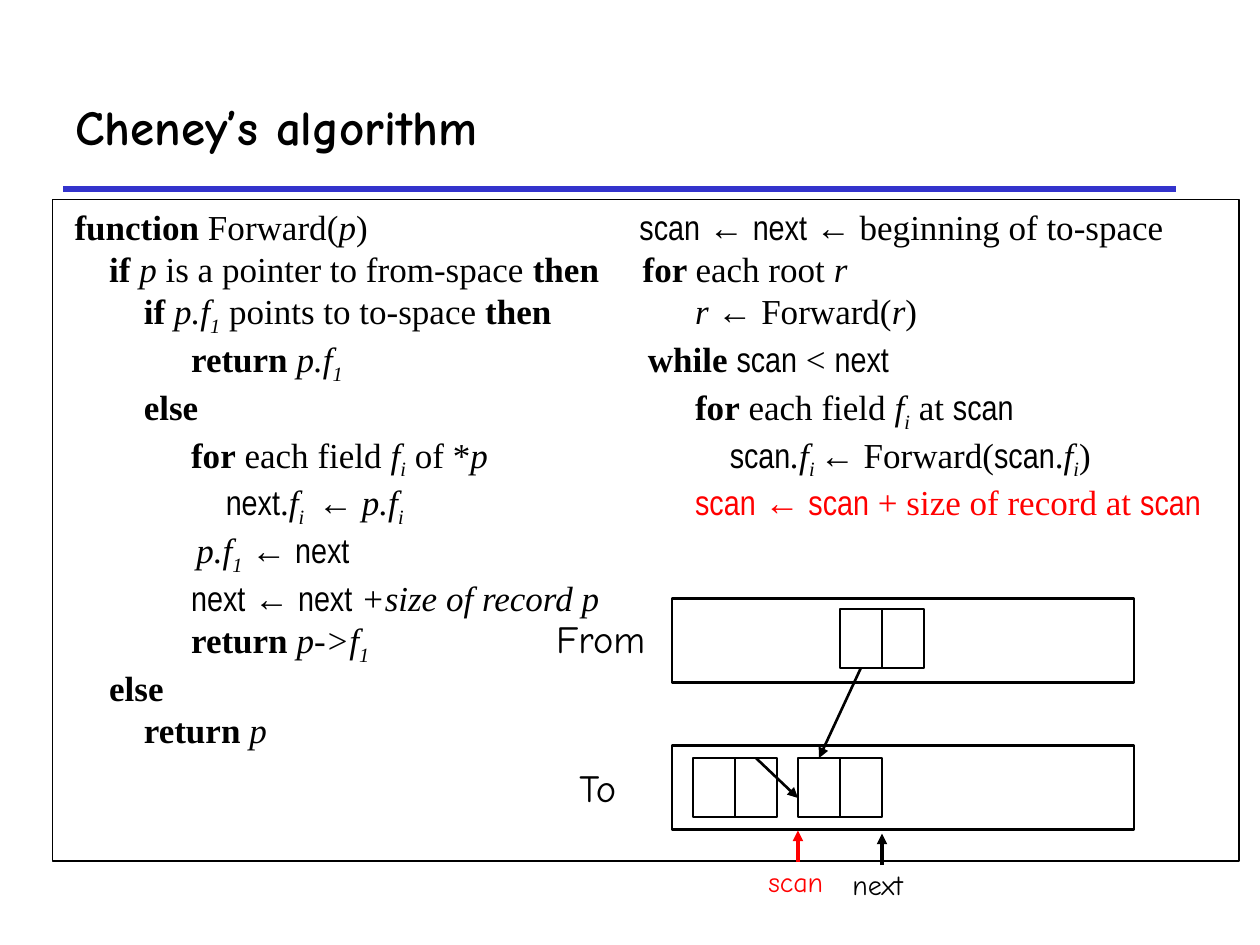
from dataclasses import dataclass
from typing import NamedTuple

from lxml.etree import SubElement
from pptx import Presentation
from pptx.dml.color import RGBColor
from pptx.enum.shapes import MSO_CONNECTOR as Connector, MSO_SHAPE as Preset
from pptx.enum.text import MSO_ANCHOR as Anchor, MSO_AUTO_SIZE as AutoSize, PP_ALIGN as Align
from pptx.oxml.ns import qn
from pptx.util import Emu, Pt

PX = 7620
BLACK, RED, BLUE = "000000", "FF0000", "3333CC"
SERIF, NARROW, COMIC = "Times New Roman", "Arial Narrow", "Comic Neue"
CELL_WIDTH, CELL_HEIGHT = 40, 56
SUBSCRIPT_GAP = 3.3


class Span(NamedTuple):
    text: str
    bold: bool = False
    italic: bool = False
    sub: bool = False
    face: str = SERIF


class Point(NamedTuple):
    x: int
    y: int


@dataclass
class CodeLine:
    indent: int
    spans: list[Span]
    color: str = BLACK
    gap: float = 0


@dataclass
class Label:
    text: str
    left: int
    top: int
    width: int
    height: int
    size: int
    color: str = BLACK


def px(length: int) -> Emu:
    return Emu(length * PX)


def rgb(value: str) -> RGBColor:
    return RGBColor.from_string(value)


def keyword(text: str) -> Span:
    return Span(text, bold=True)


def italic(text: str) -> Span:
    return Span(text, italic=True)


def sub(text: str) -> Span:
    return Span(text, italic=True, sub=True)


def narrow(text: str) -> Span:
    return Span(text, face=NARROW)


def place(shape, left: int, top: int, width: int, height: int) -> None:
    shape.left, shape.top = px(left), px(top)
    shape.width, shape.height = px(width), px(height)


def style_font(font, face: str, size: int, color: str) -> None:
    font.name, font.size = face, Pt(size)
    font.color.rgb = rgb(color)


def add_code(frame, lines: list[CodeLine]) -> None:
    frame.auto_size = AutoSize.NONE
    for number, line in enumerate(lines):
        para = frame.add_paragraph() if number else frame.paragraphs[0]
        props = para._p.get_or_add_pPr()
        props.set("marL", str(px(line.indent)))
        props.set("indent", "0")
        SubElement(props, qn("a:buNone"))
        para.space_before = Pt(line.gap)
        for span in line.spans:
            run = para.add_run()
            run.text = span.text
            style_font(run.font, span.face, 20, line.color)
            run.font.bold, run.font.italic = span.bold, span.italic
            if span.sub:
                run.font._element.set("baseline", "-25000")


def add_box(page, left: int, top: int, width: int, height: int, weight: float):
    box = page.shapes.add_shape(Preset.RECTANGLE, px(left), px(top), px(width), px(height))
    box.shadow.inherit = False
    box.fill.background()
    box.line.color.rgb = rgb(BLACK)
    box.line.width = Pt(weight)
    return box


def add_record(page, left: int, top: int) -> list:
    return [add_box(page, left + k * CELL_WIDTH, top, CELL_WIDTH, CELL_HEIGHT, 1) for k in range(2)]


def add_line(page, start: Point, end: Point, color: str, weight: float, arrow: bool = True):
    line = page.shapes.add_connector(Connector.STRAIGHT, px(start.x), px(start.y), px(end.x), px(end.y))
    line.line.color.rgb = rgb(color)
    line.line.width = Pt(weight)
    if arrow:
        SubElement(line.line._get_or_add_ln(), qn("a:tailEnd"), type="triangle")
    SubElement(line._element.spPr, qn("a:effectLst"))
    return line


def add_label(page, label: Label) -> None:
    box = page.shapes.add_textbox(px(label.left), px(label.top), px(label.width), px(label.height))
    frame = box.text_frame
    frame.word_wrap = False
    frame.auto_size = AutoSize.SHAPE_TO_FIT_TEXT
    frame.text = label.text
    style_font(frame.paragraphs[0].runs[0].font, COMIC, label.size, label.color)


FORWARD = [
    CodeLine(9, [keyword("function"), Span(" Forward("), italic("p"), Span(")")]),
    CodeLine(42, [keyword("if "), italic("p"), Span(" is a pointer to from-space "), keyword("then")]),
    CodeLine(75, [keyword("if "), italic("p.f"), sub("1"), Span(" points to to-space "), keyword("then")]),
    CodeLine(120, [keyword("return "), italic("p.f"), sub("1")]),
    CodeLine(75, [keyword("else")]),
    CodeLine(120, [keyword("for"), Span(" each field "), italic("f"), sub("i"), Span(" of *"), italic("p")],
             gap=SUBSCRIPT_GAP),
    CodeLine(153, [narrow("next"), Span("."), italic("f"), sub("i "), italic(" ← p.f"), sub("i")]),
    CodeLine(125, [italic("p.f"), sub("1"), italic(" ← "), narrow("next")]),
    CodeLine(120, [narrow("next"), italic(" ← "), narrow("next"), italic(" +size of record p")]),
    CodeLine(120, [keyword("return"), italic(" p->f"), sub("1")]),
    CodeLine(42, [keyword("else")]),
    CodeLine(75, [keyword("return"), italic(" p")]),
]

SCAN_LOOP = [
    CodeLine(7, [narrow("scan"), Span(" ← "), narrow("next"), Span(" ← beginning of to-space")]),
    CodeLine(10, [keyword("for "), Span("each root "), italic("r")]),
    CodeLine(60, [italic("r"), Span(" ← Forward("), italic("r"), Span(")")]),
    CodeLine(15, [keyword("while "), narrow("scan"), Span(" < "), narrow("next")], gap=SUBSCRIPT_GAP),
    CodeLine(60, [keyword("for"), Span(" each field "), italic("f"), sub("i"), Span(" at "), narrow("scan")],
             gap=SUBSCRIPT_GAP),
    CodeLine(93, [narrow("scan"), italic(".f"), sub("i "), Span("← Forward("), narrow("scan"), Span("."),
                  italic("f"), sub("i"), Span(")")]),
    CodeLine(60, [narrow("scan"), Span(" ← "), narrow("scan"), Span(" + size of record at "), narrow("scan")], RED),
]

LABELS = [
    Label("From", 518, 580, 113, 56, 22),
    Label("To", 540, 722, 70, 56, 22),
    Label("scan", 720, 817, 79, 44, 16, RED),
    Label("next", 800, 820, 82, 44, 16),
]


def main() -> None:
    deck = Presentation()
    deck.slide_width, deck.slide_height = px(1200), px(900)
    page = deck.slides.add_slide(deck.slide_layouts[3])

    add_line(page, Point(60, 180), Point(1120, 180), BLUE, 3, arrow=False)

    title = page.shapes.title
    place(title, 60, 60, 1060, 120)
    title.text_frame.text = "Cheney’s algorithm"
    title.text_frame.vertical_anchor = Anchor.MIDDLE
    heading = title.text_frame.paragraphs[0]
    heading.alignment = Align.LEFT
    style_font(heading.runs[0].font, COMIC, 28, BLACK)
    heading.runs[0].font.bold = True

    body, loop = page.placeholders[1], page.placeholders[2]
    place(body, 50, 190, 1130, 630)
    body.line.color.rgb = rgb(BLACK)
    body.line.width = Pt(0.75)
    add_code(body.text_frame, FORWARD)
    place(loop, 590, 190, 590, 340)
    add_code(loop.text_frame, SCAN_LOOP)

    for top in (570, 710):
        add_box(page, 640, top, 440, 80, 1.5)
    for label in LABELS:
        add_label(page, label)

    scanned = add_record(page, 660, 722)
    source = add_record(page, 800, 580)
    copied = add_record(page, 760, 722)

    add_line(page, Point(760, 821), Point(760, 791), RED, 2)
    add_line(page, Point(840, 824), Point(840, 794), BLACK, 2)
    field = add_line(page, Point(720, 722), Point(760, 760), BLACK, 1.5)
    field.begin_connect(scanned[1], 0)
    forward = add_line(page, Point(820, 636), Point(780, 722), BLACK, 1.5)
    forward.begin_connect(source[0], 2)
    forward.end_connect(copied[0], 0)

    deck.save("out.pptx")


if __name__ == "__main__":
    main()
